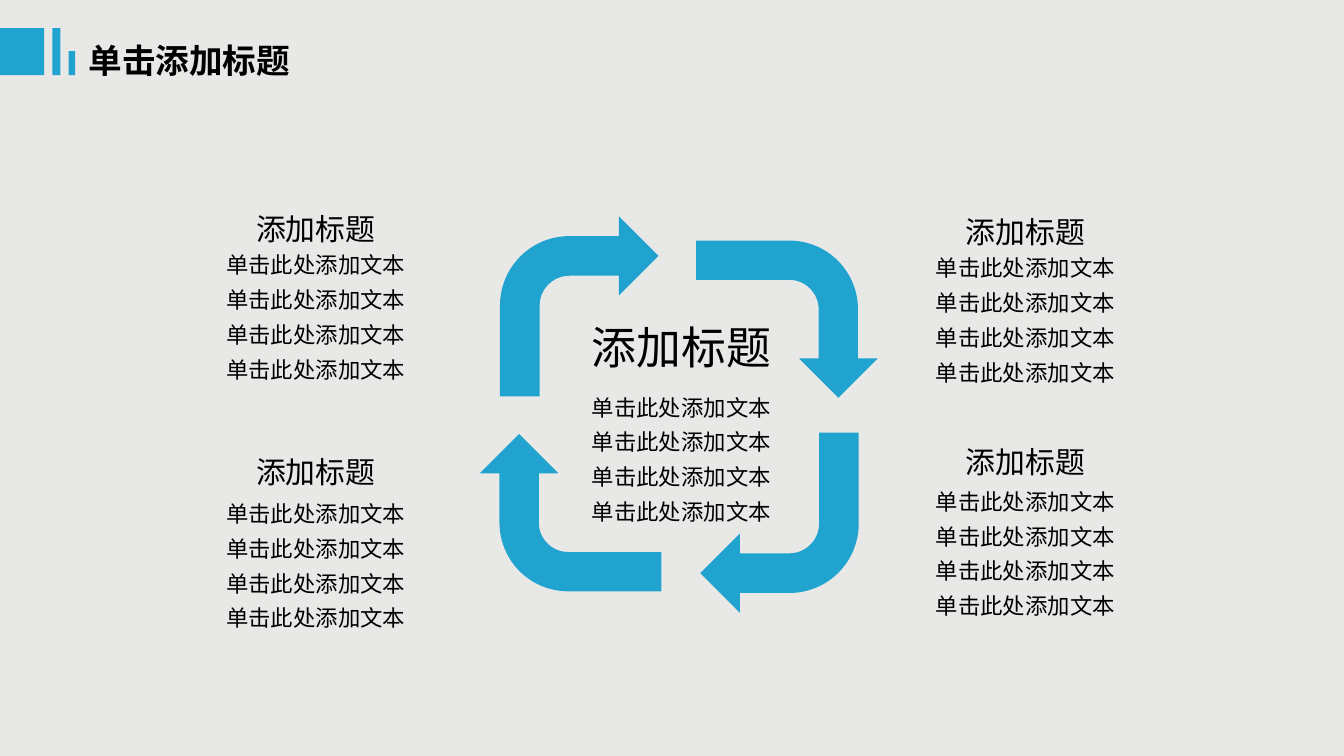
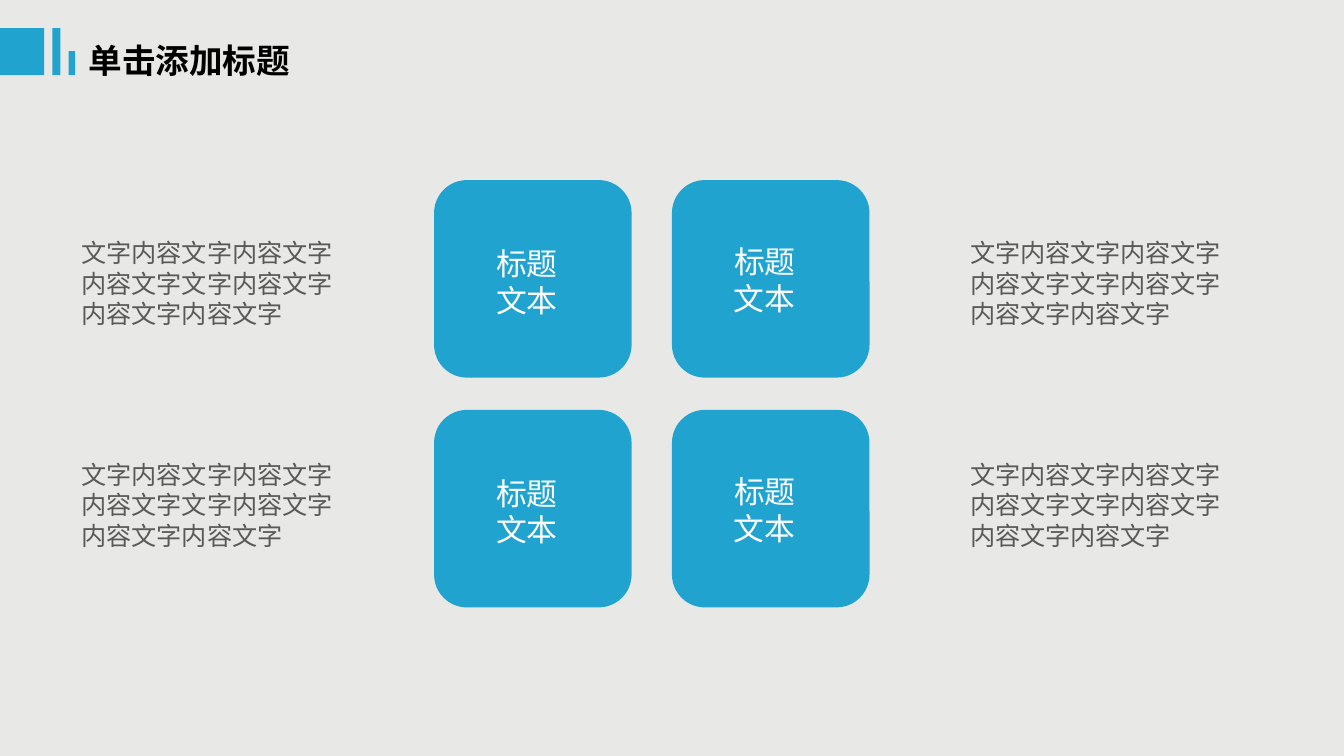
from lxml import etree
from pptx import Presentation
from pptx import util as u
from pptx.dml import color as c
from pptx.enum import shapes, text
from pptx.oxml import ns

FONT = "Noto Sans CJK SC"
BLUE, BLACK, WHITE, GREY, PAPER = "21A3D0", "000000", "FFFFFF", "595959", "E8E8E6"
CENTER = text.PP_ALIGN.CENTER
BARS = [(0, 0.21, 0.33, 0.35), (0.39, 0.21, 0.06, 0.35), (0.51, 0.38, 0.05, 0.18)]


def color(value):
    """Turn a hex string into a colour."""
    return c.RGBColor.from_string(value)


class Deck:
    """Hold the shared style and the current slide."""

    def __init__(self):
        """Start an empty widescreen presentation."""
        self.presentation = Presentation()
        self.presentation.slide_width = u.Inches(10)
        self.presentation.slide_height = u.Inches(10) * 9 // 16
        self.slide = None

    def add_slide(self, title):
        """Add a slide with its background, bars and title."""
        self.slide = self.presentation.slides.add_slide(self.presentation.slide_layouts[6])
        fill = self.slide.background.fill
        fill.solid()
        fill.fore_color.rgb = color(PAPER)
        for bar in BARS:
            self.block(shapes.MSO_SHAPE.RECTANGLE, *bar)
        self.label([title], 0.56, 0.25, 1.73, 0.4, 18, bold=True)

    def block(self, kind, left, top, width, height, rotation=0):
        """Add a blue shape without an outline."""
        shape = self.slide.shapes.add_shape(
            kind, u.Inches(left), u.Inches(top), u.Inches(width), u.Inches(height))
        shape.shadow.inherit = False
        shape.fill.solid()
        shape.fill.fore_color.rgb = color(BLUE)
        shape.line.fill.background()
        shape.rotation = rotation
        return shape

    def label(self, lines, left, top, width, height, size, ink=BLACK, bold=False,
              parent=None, **paragraph_format):
        """Add a text box with one paragraph per line."""
        box = (parent or self.slide).shapes.add_textbox(
            u.Inches(left), u.Inches(top), u.Inches(width), u.Inches(height))
        frame = box.text_frame
        frame.word_wrap = True
        frame.auto_size = text.MSO_AUTO_SIZE.SHAPE_TO_FIT_TEXT
        for index, line in enumerate(lines):
            paragraph = frame.add_paragraph() if index else frame.paragraphs[0]
            for name, value in paragraph_format.items():
                setattr(paragraph, name, value)
            run = paragraph.add_run()
            run.text = line
            for name, value in {"name": FONT, "size": u.Pt(size), "bold": bold}.items():
                setattr(run.font, name, value)
            run.font.color.rgb = color(ink)
            etree.SubElement(run.font._element, ns.qn("a:ea"), typeface=FONT)

    def caption(self, center, heading_top, body_top, heading_width=1.5,
                heading_height=0.37, size=16):
        """Add a grouped heading and four lines of text around a centre."""
        group = self.slide.shapes.add_group_shape()
        self.label(["添加标题"], center - heading_width / 2, heading_top, heading_width,
                   heading_height, size, parent=group, alignment=CENTER)
        self.label(["单击此处添加文本"] * 4, center - 1.97 / 2, body_top, 1.97, 1.15, 12,
                   parent=group, alignment=CENTER, line_spacing=1.3)


def build_cycle(deck):
    """Build the slide with four arrows around a caption."""
    deck.add_slide("单击添加标题")
    arrow = shapes.MSO_SHAPE.BENT_ARROW
    deck.block(arrow, 3.72, 1.61, 1.18, 1.34)
    deck.block(arrow, 5.27, 1.7, 1.17, 1.35, 90)
    deck.block(arrow, 3.66, 3.14, 1.17, 1.35, 270)
    flipped = deck.block(arrow, 5.21, 3.22, 1.18, 1.34)
    for name in ("flipH", "flipV"):
        flipped._element.spPr.find(ns.qn("a:xfrm")).set(name, "1")
    deck.caption(5.07, 2.33, 2.82, heading_width=1.79, heading_height=0.5, size=24)
    for center, heading_top, body_top in [
            (7.63, 1.54, 1.78), (7.63, 3.25, 3.52), (2.35, 1.52, 1.76), (2.35, 3.33, 3.61)]:
        deck.caption(center, heading_top, body_top)


def build_tiles(deck):
    """Build the slide with a grid of four tiles and side texts."""
    deck.add_slide("单击添加标题")
    columns, rows = (3.23, 5), (1.34, 3.05)
    for top in rows:
        for left in columns:
            tile = deck.block(shapes.MSO_SHAPE.ROUNDED_RECTANGLE, left, top, 1.47, 1.47)
            tile.adjustments[0] = 1 / 6
    for top in rows:
        for left, drop in zip(columns, (0.43, 0.42)):
            deck.label(["标题文本"], left + 0.26, top + drop, 0.86, 0.66, 16.5, WHITE,
                       alignment=CENTER)
    for left, width in [(7.12, 2.13), (0.51, 2.19)]:
        for top in (1.72, 3.37):
            deck.label(["文字内容文字内容文字内容文字文字内容文字内容文字内容文字"],
                       left, top, width, 1.01, 13.5, GREY)


def main():
    """Build and save the presentation."""
    deck = Deck()
    build_cycle(deck)
    build_tiles(deck)
    deck.presentation.save("out.pptx")


if __name__ == "__main__":
    main()
